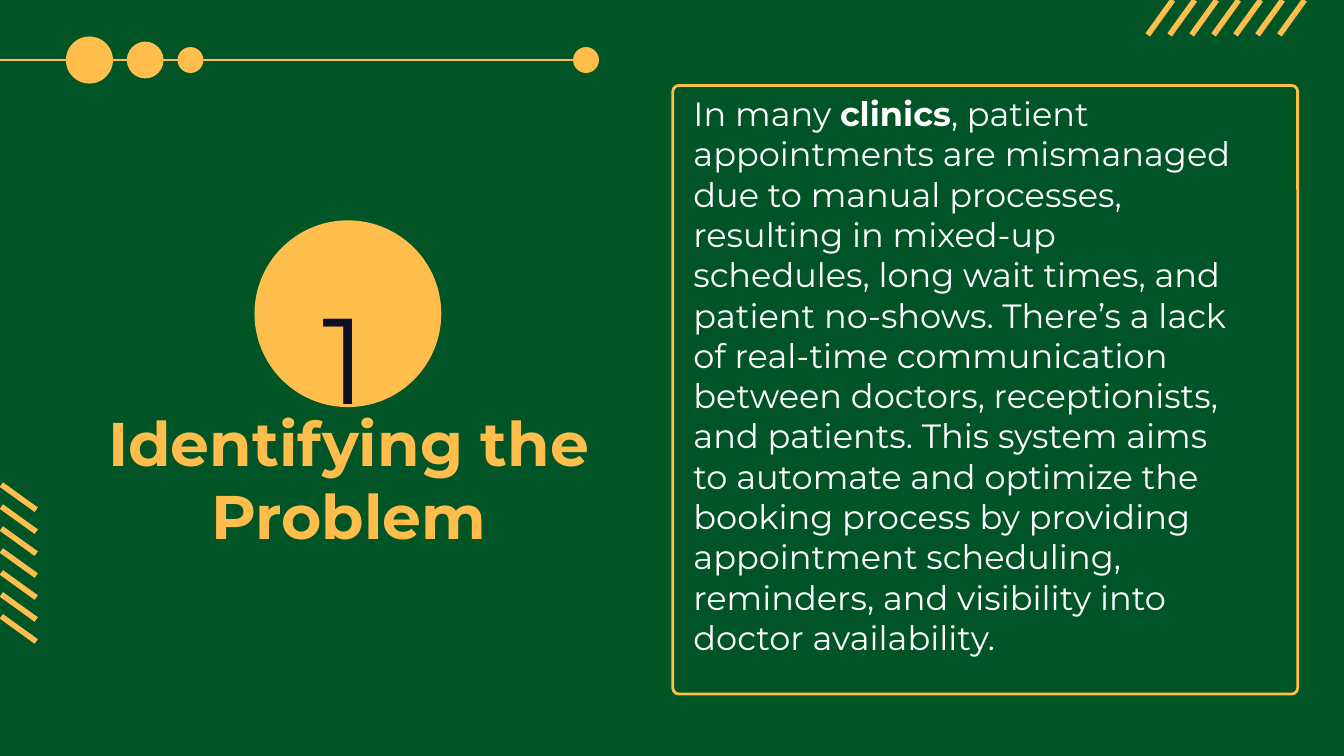
from lxml import etree
from pptx import Presentation
from pptx.dml.color import RGBColor
from pptx.enum.shapes import MSO_CONNECTOR as Connector, MSO_SHAPE as Shape
from pptx.enum.text import MSO_ANCHOR as Anchor, MSO_AUTO_SIZE as AutoSize, PP_ALIGN as Align
from pptx.oxml.ns import qn
from pptx.util import Cm, Pt

GREEN = "005426"
GOLD = "FFBD4C"
WHITE = "FFFFFF"
NAVY = "0C0F27"


def color(hex_value):
    return RGBColor.from_string(hex_value)


def place(box, left, top, width, height):
    box.left, box.top, box.width, box.height = Cm(left), Cm(top), Cm(width), Cm(height)


def write(box, runs, size=36, fill=WHITE, align=Align.LEFT, spacing=None):
    """Fill a box with one paragraph made of (text, bold) runs."""
    frame = box.text_frame
    frame.word_wrap = True
    frame.auto_size = AutoSize.NONE
    frame.vertical_anchor = Anchor.TOP
    frame.margin_left = frame.margin_right = frame.margin_top = frame.margin_bottom = 0
    para = frame.paragraphs[0]
    properties = para._p.get_or_add_pPr()
    properties.set("marL", "0")
    properties.set("indent", "0")
    etree.SubElement(properties, qn("a:buNone"))
    para.alignment = align
    para.space_before = Pt(0)
    if spacing:
        para.line_spacing = spacing
    for text, bold in runs:
        span = para.add_run()
        span.text = text
        span.font.name = "Montserrat"
        span.font.size = Pt(size)
        span.font.bold = bold
        span.font.color.rgb = color(fill)


def add_dot(page, center_x, center_y, diameter):
    dot = page.shapes.add_shape(
        Shape.OVAL, Cm(center_x - diameter / 2), Cm(center_y - diameter / 2),
        Cm(diameter), Cm(diameter))
    dot.shadow.inherit = False
    dot.fill.solid()
    dot.fill.fore_color.rgb = color(GOLD)
    dot.line.fill.background()


def add_frame(page, left, top, width, height):
    frame = page.shapes.add_shape(
        Shape.ROUNDED_RECTANGLE, Cm(left), Cm(top), Cm(width), Cm(height))
    frame.adjustments[0] = 0.01
    frame.shadow.inherit = False
    frame.fill.background()
    frame.line.color.rgb = color(GOLD)
    frame.line.width = Pt(3)


def add_line(page, start_x, start_y, end_x, end_y, weight):
    line = page.shapes.add_connector(
        Connector.STRAIGHT, Cm(start_x), Cm(start_y), Cm(end_x), Cm(end_y))
    line.line.color.rgb = color(GOLD)
    line.line.width = Pt(weight)
    etree.SubElement(line._element.spPr, qn("a:effectLst"))


def add_hatching(page, start, end, step_x=0, step_y=0, count=7):
    """Repeat one slanted stroke at equal steps."""
    for index in range(count):
        shift_x, shift_y = index * step_x, index * step_y
        add_line(page, start[0] + shift_x, start[1] + shift_y,
                 end[0] + shift_x, end[1] + shift_y, 6)


def main():
    deck = Presentation()
    deck.slide_width, deck.slide_height = Cm(50.8), Cm(28.58)
    page = deck.slides.add_slide(deck.slide_layouts[1])
    page.background.fill.solid()
    page.background.fill.fore_color.rgb = color(GREEN)

    # Title and problem statement
    title, body = page.placeholders
    place(title, 1.75, 15.29, 22.86, 5.64)
    write(title, [("Identifying the Problem", True)], size=66, fill=GOLD, align=Align.CENTER)
    add_frame(page, 25.43, 3.23, 23.62, 23.01)
    place(body, 26.21, 3.51, 20.5, 21.54)
    write(body, [
        ("In many ", False),
        ("clinics", True),
        (", patient appointments are mismanaged due to manual processes, resulting in "
         "mixed-up schedules, long wait times, and patient no-shows. There’s a lack of "
         "real-time communication between doctors, receptionists, and patients. This "
         "system aims to automate and optimize the booking process by providing "
         "appointment scheduling, reminders, and visibility into doctor availability.", False),
    ])

    # Section number on its disc
    add_dot(page, 13.15, 11.86, 7.06)
    number = page.shapes.add_textbox(Cm(9.02), Cm(8.48), Cm(7.98), Cm(5.59))
    write(number, [("1", False)], size=130.5, fill=NAVY, align=Align.CENTER, spacing=1.4)

    # Beaded rule at the top left
    rule_y = 2.27
    add_line(page, 0, rule_y, 22.07, rule_y, 3)
    for center_x, diameter in [(3.38, 1.78), (5.49, 1.39), (7.2, 0.98), (22.15, 0.98)]:
        add_dot(page, center_x, rule_y, diameter)

    # Hatching at the top and left edges
    add_hatching(page, (43.38, 1.32), (44.33, 0), step_x=0.83)
    add_hatching(page, (0.05, 18.32), (1.37, 19.27), step_y=0.83)

    deck.save("out.pptx")


if __name__ == "__main__":
    main()
